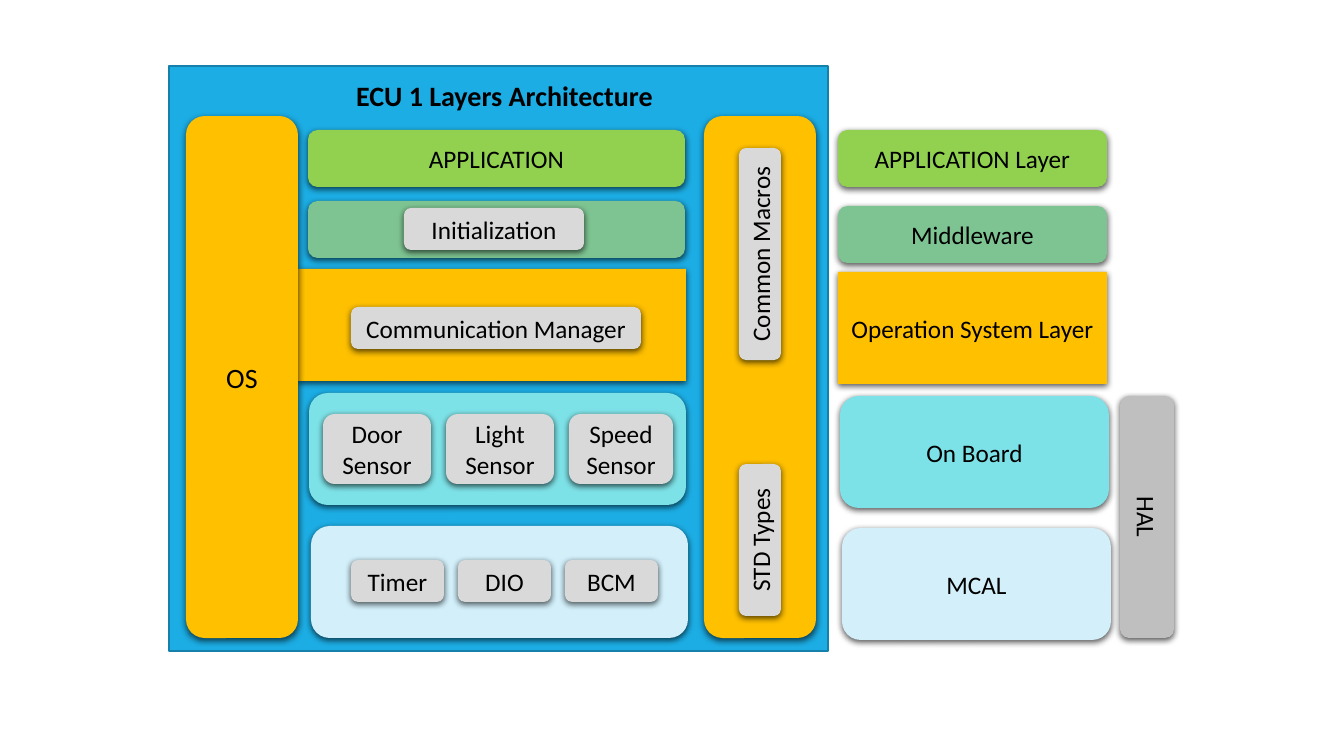
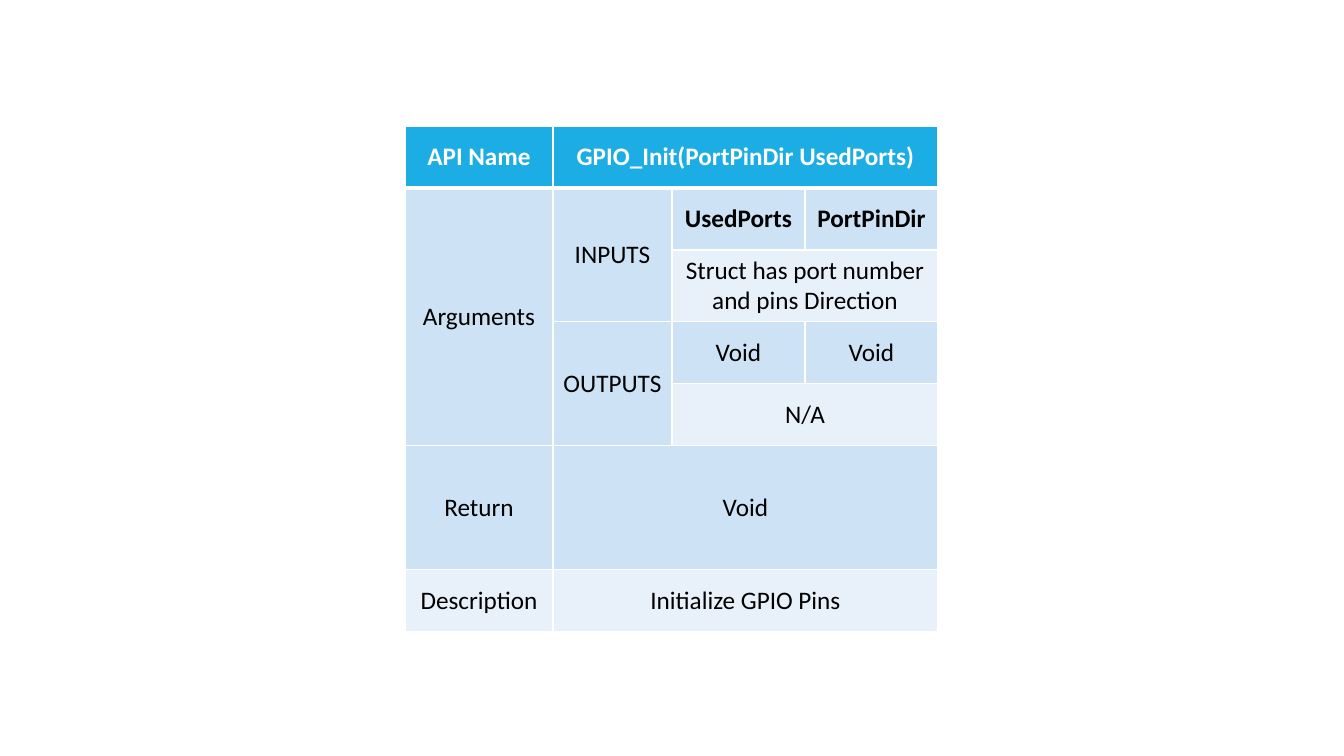
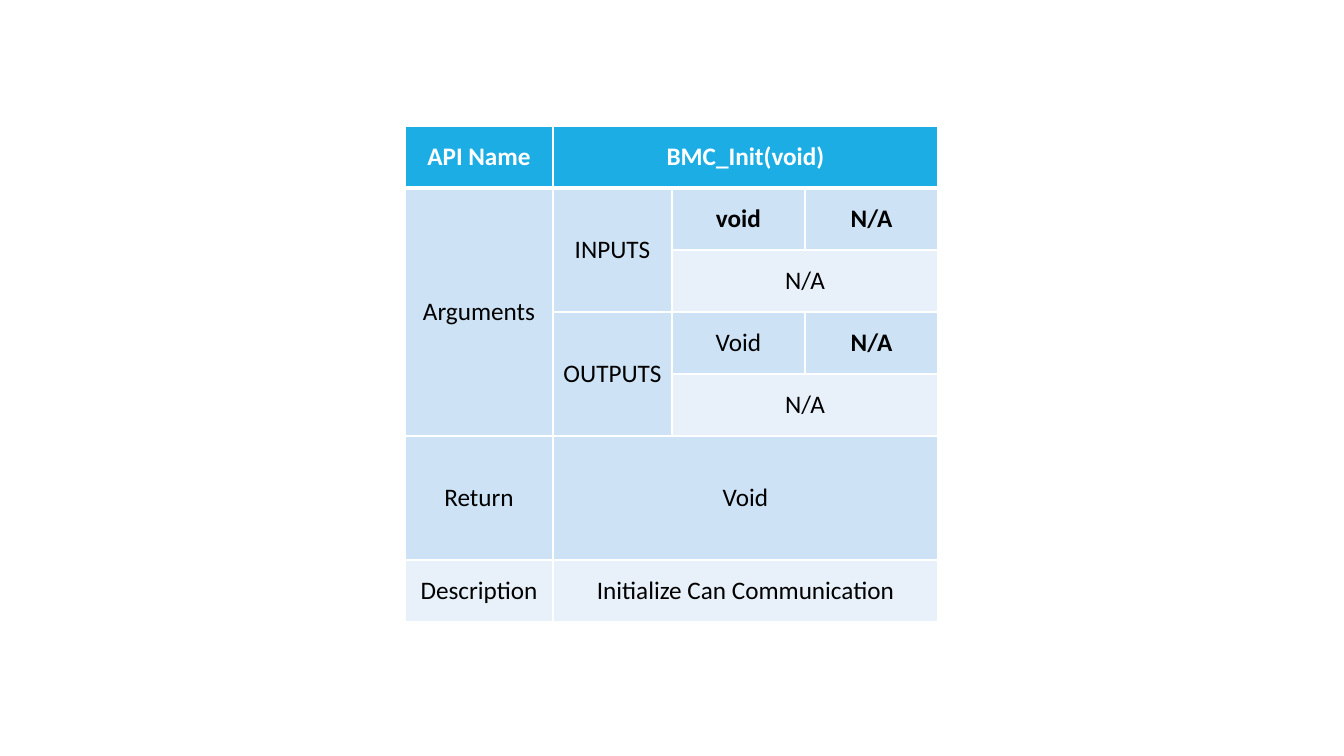
from dataclasses import dataclass
from itertools import product

from lxml.etree import SubElement
from pptx import Presentation
from pptx.dml.color import RGBColor
from pptx.enum.shapes import MSO_SHAPE
from pptx.enum.text import MSO_ANCHOR, MSO_AUTO_SIZE, PP_ALIGN
from pptx.oxml import parse_xml
from pptx.oxml.ns import nsdecls, qn
from pptx.util import Pt

PX = 9071  # EMU in one px, at 100.8 px to the inch


@dataclass(frozen=True)
class Theme:
    font: str = "Calibri"
    heading_size: int = 20
    body_size: int = 18
    black: str = "000000"
    white: str = "FFFFFF"
    blue: str = "1CADE4"
    blue_edge: str = "1580A9"
    lime: str = "92D050"
    green: str = "7EC492"
    amber: str = "FFC000"
    aqua: str = "7DE2E7"
    ice: str = "D2EFFA"
    module: str = "D9D9D9"
    gray: str = "BFBFBF"
    row_dark: str = "CDE3F5"
    row_light: str = "E8F1FA"


THEME = Theme()


def write(frame, text, size=THEME.body_size, color=THEME.black, bold=False):
    para = frame.paragraphs[0]
    para.alignment = PP_ALIGN.CENTER
    span = para.add_run()
    span.text = text
    span.font.name = THEME.font
    span.font.size = Pt(size)
    span.font.bold = bold
    span.font.color.rgb = RGBColor.from_string(color)


def add_block(page, text, left, top, width, height, color, size=THEME.body_size,
              shape=MSO_SHAPE.ROUNDED_RECTANGLE, turn=0):
    """Add a shadowed block; the frame is the one seen after a quarter turn."""
    if turn:
        left, top = left + (width - height) // 2, top + (height - width) // 2
        width, height = height, width
    box = page.shapes.add_shape(shape, left * PX, top * PX, width * PX, height * PX)
    box.rotation = turn
    box.fill.solid()
    box.fill.fore_color.rgb = RGBColor.from_string(color)
    box.line.fill.background()
    box.shadow.inherit = False
    effects = box.element.spPr.find(qn("a:effectLst"))
    effects.append(parse_xml(
        f'<a:outerShdw {nsdecls("a")} blurRad="57150" dist="19050" dir="5400000" '
        f'algn="ctr" rotWithShape="0"><a:srgbClr val="{THEME.black}">'
        '<a:alpha val="63000"/></a:srgbClr></a:outerShdw>'))
    if text:
        write(box.text_frame, text, size=size)


deck = Presentation()
deck.slide_width, deck.slide_height = 1344 * PX, 756 * PX
title_only, blank = deck.slide_layouts[5], deck.slide_layouts[6]

# Layer architecture
page = deck.slides.add_slide(title_only)
panel = page.shapes.add_shape(MSO_SHAPE.RECTANGLE, 169 * PX, 66 * PX, 659 * PX, 585 * PX)
panel.shadow.inherit = False
panel.fill.solid()
panel.fill.fore_color.rgb = RGBColor.from_string(THEME.blue)
panel.line.color.rgb = RGBColor.from_string(THEME.blue_edge)
panel.line.width = Pt(1)

title = page.shapes.title
title.left, title.top, title.width, title.height = 321 * PX, 73 * PX, 367 * PX, 44 * PX
title.text_frame.auto_size = MSO_AUTO_SIZE.NONE
title.text_frame.vertical_anchor = MSO_ANCHOR.TOP
write(title.text_frame, "ECU 1 Layers Architecture", size=THEME.heading_size, bold=True)
panel.element.addnext(title.element)

add_block(page, "", 311, 526, 377, 112, THEME.ice)
for index, driver in enumerate(["Timer", "DIO", "BCM"]):
    add_block(page, driver, 351 + index * 107, 560, 93, 42, THEME.module)

add_block(page, "", 309, 393, 377, 112, THEME.aqua)
for index, (sensor, width) in enumerate([("Door", 108), ("Light", 108), ("Speed", 104)]):
    add_block(page, f"{sensor} Sensor", 323 + index * 123, 414, width, 70, THEME.module)

add_block(page, "", 704, 116, 112, 522, THEME.amber)
for library, top, height in [("Common Macros", 148, 212), ("STD Types", 464, 152)]:
    add_block(page, library, 739, top, 42, height, THEME.module, turn=270)

add_block(page, "", 298, 269, 388, 112, THEME.amber, shape=MSO_SHAPE.RECTANGLE)
add_block(page, "OS", 186, 116, 112, 522, THEME.amber, size=THEME.heading_size)
add_block(page, "Communication Manager", 351, 307, 290, 42, THEME.module)
add_block(page, "", 308, 201, 377, 57, THEME.green)
add_block(page, "Initialization", 404, 208, 180, 42, THEME.module)
add_block(page, "APPLICATION", 308, 130, 377, 57, THEME.lime)

LAYERS = [
    ("APPLICATION Layer", 838, 130, 57, THEME.lime, MSO_SHAPE.ROUNDED_RECTANGLE),
    ("Middleware", 838, 206, 57, THEME.green, MSO_SHAPE.ROUNDED_RECTANGLE),
    ("Operation System Layer", 838, 272, 112, THEME.amber, MSO_SHAPE.RECTANGLE),
    ("On Board", 840, 396, 112, THEME.aqua, MSO_SHAPE.ROUNDED_RECTANGLE),
    ("MCAL", 842, 528, 112, THEME.ice, MSO_SHAPE.ROUNDED_RECTANGLE),
]
for layer, left, top, height, color, shape in LAYERS:
    add_block(page, layer, left, top, 269, height, color, shape=shape)
add_block(page, "HAL", 1120, 396, 54, 242, THEME.gray, turn=90)

# API tables
COLUMNS = [148, 119, 133, 133]
ROWS = [62, 62, 62, 62, 62, 124, 62]
MERGES = [(0, 1, 0, 3), (1, 0, 4, 0), (1, 1, 2, 1), (2, 2, 2, 3),
          (3, 1, 4, 1), (4, 2, 4, 3), (5, 1, 5, 3), (6, 1, 6, 3)]
LABELS = {(0, 0): "API Name", (1, 0): "Arguments", (1, 1): "INPUTS",
          (3, 1): "OUTPUTS", (5, 0): "Return", (6, 0): "Description"}
APIS = [
    ({(0, 1): "GPIO_Init(PortPinDir UsedPorts)",
      (1, 2): "UsedPorts", (1, 3): "PortPinDir",
      (2, 2): "Struct has port number and pins Direction",
      (3, 2): "Void", (3, 3): "Void", (4, 2): "N/A",
      (5, 1): "Void", (6, 1): "Initialize GPIO Pins"},
     {(1, 2), (1, 3)}),
    ({(0, 1): "BMC_Init(void)",
      (1, 2): "void", (1, 3): "N/A", (2, 2): "N/A",
      (3, 2): "Void", (3, 3): "N/A", (4, 2): "N/A",
      (5, 1): "Void", (6, 1): "Initialize Can Communication"},
     {(1, 2), (1, 3), (3, 3)}),
]
for details, bold_cells in APIS:
    page = deck.slides.add_slide(blank)
    table = page.shapes.add_table(len(ROWS), len(COLUMNS), 405 * PX, 126 * PX,
                                  sum(COLUMNS) * PX, sum(ROWS) * PX).table
    table.horz_banding = False
    for column, width in zip(table.columns, COLUMNS):
        column.width = width * PX
    for row, height in zip(table.rows, ROWS):
        row.height = height * PX

    for row, column in product(range(len(ROWS)), range(len(COLUMNS))):
        cell = table.cell(row, column)
        cell.vertical_anchor = MSO_ANCHOR.MIDDLE
        properties = cell._tc.get_or_add_tcPr()
        for side in ["lnL", "lnR", "lnT", "lnB"]:
            under_header = (row, side) in [(0, "lnB"), (1, "lnT")]
            border = SubElement(properties, qn(f"a:{side}"), w=str(Pt(3 if under_header else 1)))
            SubElement(SubElement(border, qn("a:solidFill")), qn("a:srgbClr"), val=THEME.white)
        shade = THEME.row_dark if row % 2 else THEME.row_light
        cell.fill.solid()
        cell.fill.fore_color.rgb = RGBColor.from_string(shade if row else THEME.blue)

    for top, left, bottom, right in MERGES:
        table.cell(top, left).merge(table.cell(bottom, right))
    for (row, column), text in (LABELS | details).items():
        write(table.cell(row, column).text_frame, text,
              color=THEME.black if row else THEME.white,
              bold=row == 0 or (row, column) in bold_cells)

deck.save("out.pptx")
